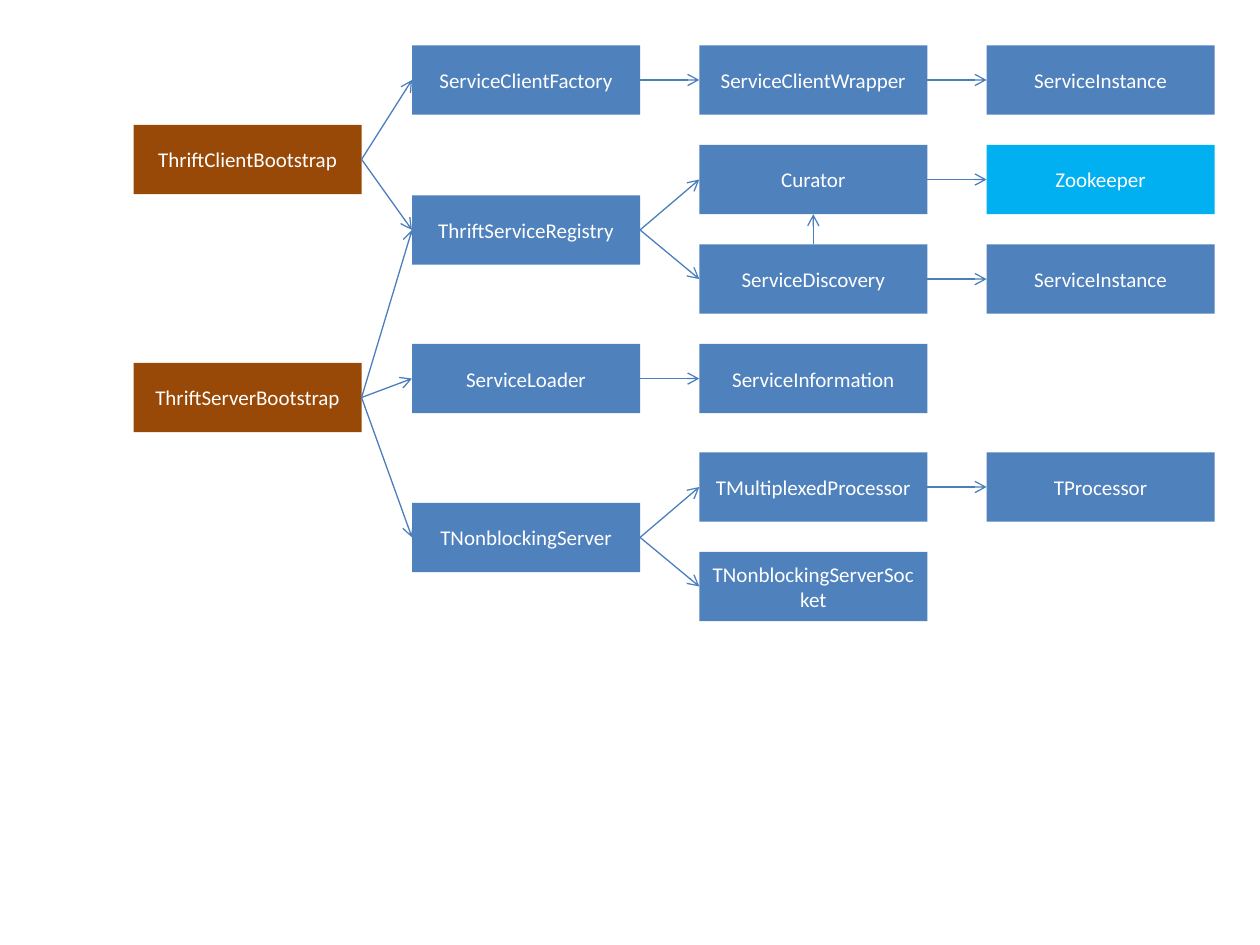
from lxml import etree
from pptx import Presentation
from pptx.dml.color import RGBColor
from pptx.enum.shapes import MSO_CONNECTOR, MSO_SHAPE
from pptx.enum.text import MSO_ANCHOR, PP_ALIGN
from pptx.oxml.ns import qn
from pptx.util import Inches, Pt

RECTANGLE = MSO_SHAPE.RECTANGLE
STRAIGHT = MSO_CONNECTOR.STRAIGHT
MIDDLE = MSO_ANCHOR.MIDDLE
CENTER = PP_ALIGN.CENTER
TOP, LEFT, BOTTOM, RIGHT = range(4)

COLORS = {
    "bootstrap": "984807",
    "component": "4F81BD",
    "external": "00B0F0",
    "arrow": "4B7EBC",
    "text": "FFFFFF",
}
COLUMNS = [1.06, 3.27, 5.55, 7.83]
BOX_WIDTH, BOX_HEIGHT = 1.81, 0.55

NODES = {
    "client": ("ThriftClientBootstrap", 0, 0.99, "bootstrap"),
    "server": ("ThriftServerBootstrap", 0, 2.88, "bootstrap"),
    "factory": ("ServiceClientFactory", 1, 0.36, "component"),
    "registry": ("ThriftServiceRegistry", 1, 1.55, "component"),
    "loader": ("ServiceLoader", 1, 2.73, "component"),
    "nonblocking": ("TNonblockingServer", 1, 3.99, "component"),
    "wrapper": ("ServiceClientWrapper", 2, 0.36, "component"),
    "curator": ("Curator", 2, 1.15, "component"),
    "discovery": ("ServiceDiscovery", 2, 1.94, "component"),
    "information": ("ServiceInformation", 2, 2.73, "component"),
    "multiplexed": ("TMultiplexedProcessor", 2, 3.59, "component"),
    "socket": ("TNonblockingServerSocket", 2, 4.38, "component"),
    "client_instance": ("ServiceInstance", 3, 0.36, "component"),
    "zookeeper": ("Zookeeper", 3, 1.15, "external"),
    "found_instance": ("ServiceInstance", 3, 1.94, "component"),
    "processor": ("TProcessor", 3, 3.59, "component"),
}
TARGETS = {
    "client": ["factory", "registry"],
    "server": ["registry", "loader", "nonblocking"],
    "factory": ["wrapper"],
    "registry": ["curator", "discovery"],
    "loader": ["information"],
    "nonblocking": ["multiplexed", "socket"],
    "wrapper": ["client_instance"],
    "curator": ["zookeeper"],
    "discovery": ["curator", "found_instance"],
    "multiplexed": ["processor"],
}

deck = Presentation()
deck.slide_width = Inches(10)
deck.slide_height = Inches(7.5)
page = deck.slides.add_slide(deck.slide_layouts[6])

boxes = {}
for name, (label, column, top, role) in NODES.items():
    box = page.shapes.add_shape(
        RECTANGLE, Inches(COLUMNS[column]), Inches(top), Inches(BOX_WIDTH), Inches(BOX_HEIGHT)
    )
    box.shadow.inherit = False
    box.fill.solid()
    box.fill.fore_color.rgb = RGBColor.from_string(COLORS[role])
    box.line.fill.background()
    box.text_frame.text = label
    box.text_frame.word_wrap = True
    box.text_frame.vertical_anchor = MIDDLE
    para = box.text_frame.paragraphs[0]
    para.alignment = CENTER
    span = para.runs[0]
    span.font.name = "Calibri"
    span.font.size = Pt(12)
    span.font.color.rgb = RGBColor.from_string(COLORS["text"])
    boxes[name] = box

for source, targets in TARGETS.items():
    for target in targets:
        same_column = NODES[source][1] == NODES[target][1]
        start, end = (TOP, BOTTOM) if same_column else (RIGHT, LEFT)
        arrow = page.shapes.add_connector(STRAIGHT, 0, 0, 0, 0)
        arrow.begin_connect(boxes[source], start)
        arrow.end_connect(boxes[target], end)
        arrow.line.color.rgb = RGBColor.from_string(COLORS["arrow"])
        arrow.line.width = Pt(0.75)
        etree.SubElement(arrow.line._get_or_add_ln(), qn("a:tailEnd"), type="arrow")
        etree.SubElement(arrow._element.spPr, qn("a:effectLst"))

deck.save("out.pptx")
